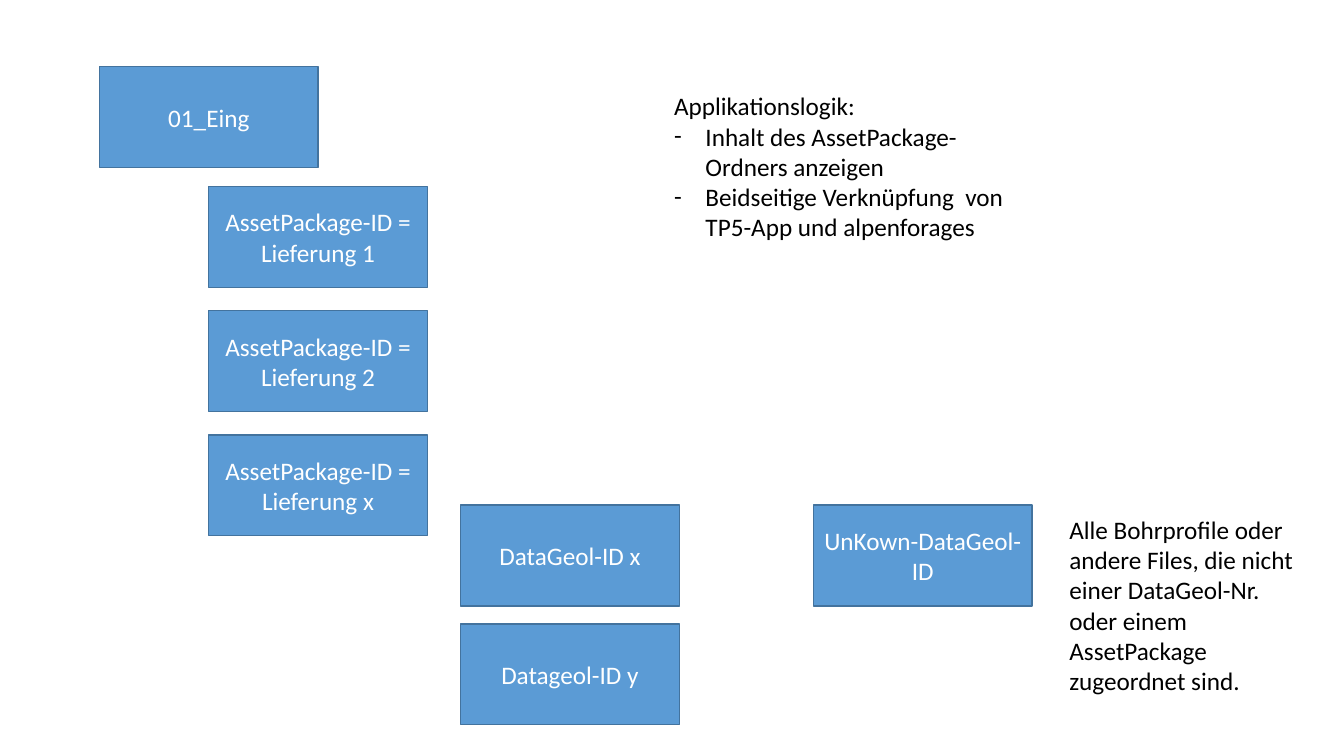
from lxml.etree import SubElement
from pptx import Presentation
from pptx.dml.color import RGBColor
from pptx.enum.shapes import MSO_SHAPE
from pptx.enum.text import MSO_ANCHOR, MSO_AUTO_SIZE, PP_ALIGN
from pptx.oxml.ns import qn
from pptx.util import Cm, Pt


def color(hex_value):
    return RGBColor.from_string(hex_value)


def write(frame, lines, hex_value, alignment):
    frame.word_wrap = True
    frame.text = "\n".join(lines)
    font_format = {"name": "Calibri", "size": Pt(18)}
    for paragraph in frame.paragraphs:
        paragraph.alignment = alignment
        for run in paragraph.runs:
            for attribute, value in font_format.items():
                setattr(run.font, attribute, value)
            run.font.color.rgb = color(hex_value)


presentation = Presentation()
presentation.slide_width = Cm(33.87)
presentation.slide_height = Cm(19.05)
slide = presentation.slides.add_slide(presentation.slide_layouts[6])

deliveries = [
    (f"AssetPackage-ID = Lieferung {delivery}", 5.26, 4.7 + 3.13 * position)
    for position, delivery in enumerate("12x")
]
folders = deliveries + [
    ("01_Eing", 2.51, 1.68),
    ("DataGeol-ID x", 11.61, 12.73),
    ("Datageol-ID y", 11.61, 15.72),
    ("UnKown-DataGeol-ID", 20.5, 12.73),
]
for label, left, top in folders:
    folder = slide.shapes.add_shape(
        MSO_SHAPE.RECTANGLE, Cm(left), Cm(top), Cm(5.51), Cm(2.54)
    )
    folder.shadow.inherit = False
    folder.fill.solid()
    folder.fill.fore_color.rgb = color("5B9BD5")
    folder.line.color.rgb = color("43739E")
    folder.line.width = Pt(1)
    folder.text_frame.vertical_anchor = MSO_ANCHOR.MIDDLE
    write(folder.text_frame, [label], "FFFFFF", PP_ALIGN.CENTER)

unassigned_files = [
    "Alle Bohrprofile oder andere Files, die nicht einer DataGeol-Nr. "
    "oder einem AssetPackage zugeordnet sind."
]
application_logic = [
    "Applikationslogik:",
    "Inhalt des AssetPackage-Ordners anzeigen",
    "Beidseitige Verknüpfung  von TP5-App und alpenforages",
]
explanations = [
    (unassigned_files, 26.7, 12.83, 6.5),
    (application_logic, 16.74, 2.16, 9.27),
]
for lines, left, top, width in explanations:
    explanation = slide.shapes.add_textbox(Cm(left), Cm(top), Cm(width), Cm(4.11))
    write(explanation.text_frame, lines, "000000", PP_ALIGN.LEFT)
    explanation.text_frame.auto_size = MSO_AUTO_SIZE.SHAPE_TO_FIT_TEXT
    for bullet_point in explanation.text_frame.paragraphs[1:]:
        properties = bullet_point._p.get_or_add_pPr()
        properties.set("marL", str(Cm(0.79)))
        properties.set("indent", str(-Cm(0.79)))
        SubElement(properties, qn("a:buFont"), typeface="Calibri")
        SubElement(properties, qn("a:buChar"), char="-")

presentation.save("out.pptx")
